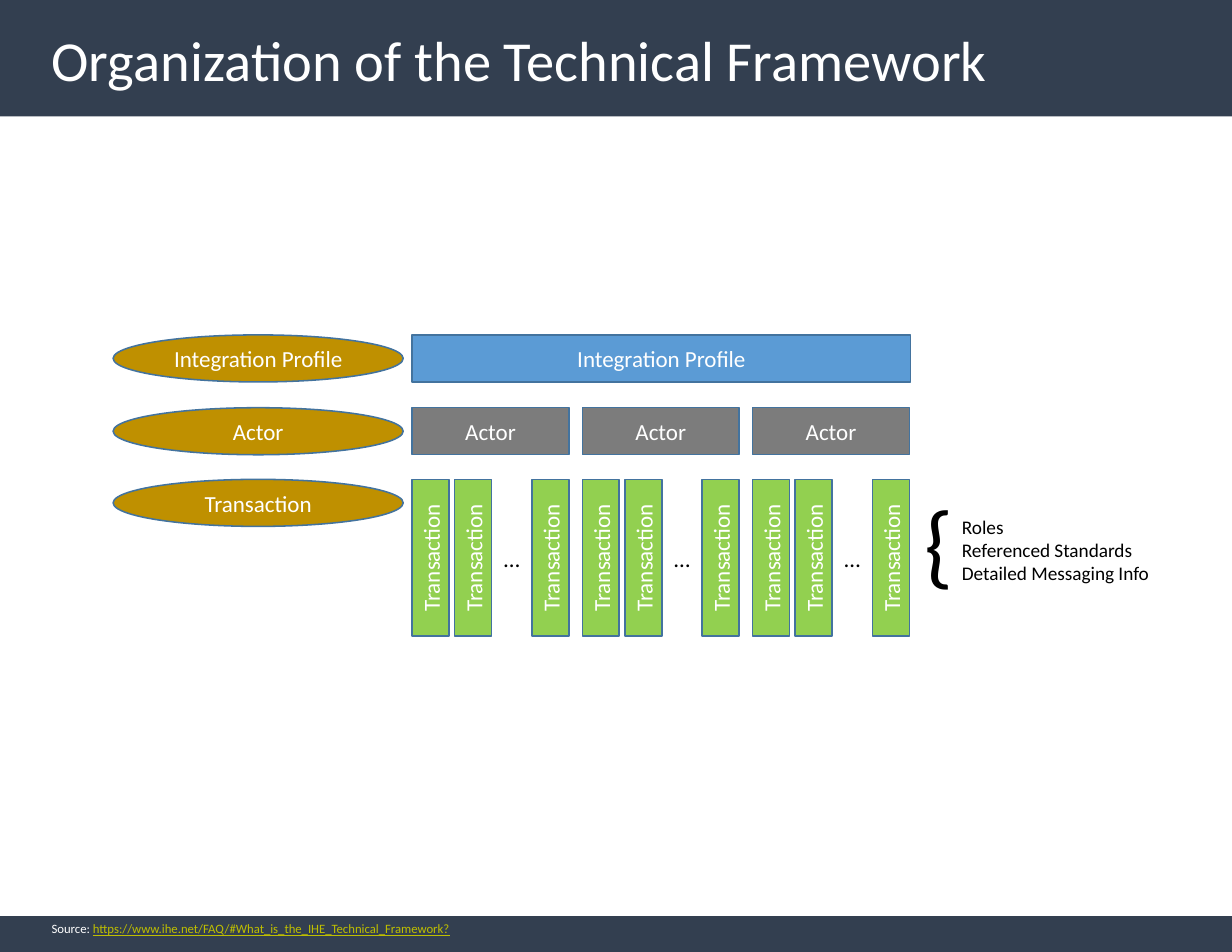
import pptx
import pptx.dml.color
import pptx.enum.shapes
import pptx.enum.text
import pptx.oxml
import pptx.util
from dataclasses import dataclass

Inches = pptx.util.Inches
Shape = pptx.enum.shapes.MSO_SHAPE
Align = pptx.enum.text.PP_ALIGN
Anchor = pptx.enum.text.MSO_ANCHOR
AutoSize = pptx.enum.text.MSO_AUTO_SIZE


@dataclass(frozen=True)
class Theme:
    font: str = "Calibri"
    band: str = "333F50"
    light: str = "FFFFFF"
    dark: str = "000000"
    link: str = "BFBF00"
    outline: str = "43739E"
    level: str = "BF9000"
    profile: str = "5B9BD5"
    actor: str = "7C7C7C"
    transaction: str = "92D050"
    title_size: float = 36.3
    label_size: float = 14.8
    detail_size: float = 12.4
    source_size: float = 8.2
    brace_size: float = 59.4


class FrameworkSlide:
    """Draws styled elements on one slide."""

    def __init__(self, slide, theme):
        self.slide = slide
        self.theme = theme

    def color(self, value):
        return pptx.dml.color.RGBColor.from_string(value)

    def style(self, paragraph, size, color, align=Align.LEFT):
        paragraph.alignment = align
        paragraph.font.name = self.theme.font
        paragraph.font.size = pptx.util.Pt(size)
        paragraph.font.color.rgb = self.color(color)

    def band(self, top, height):
        band = self.slide.shapes.add_shape(
            Shape.RECTANGLE, 0, Inches(top), Inches(11), Inches(height))
        band.shadow.inherit = False
        band.fill.solid()
        band.fill.fore_color.rgb = self.color(self.theme.band)
        band.line.fill.background()
        self.slide.shapes._spTree.insert(2, band._element)

    def placeholder(self, holder, top, height, size, anchor):
        holder.left, holder.top = Inches(0.36), Inches(top)
        holder.width, holder.height = Inches(9.88), Inches(height)
        frame = holder.text_frame
        frame.auto_size = AutoSize.NONE
        frame.vertical_anchor = anchor
        paragraph = frame.paragraphs[0]
        paragraph.line_spacing = 0.9
        paragraph.space_before = pptx.util.Pt(0)
        properties = paragraph._p.get_or_add_pPr()
        properties.set("marL", "0")
        properties.set("indent", "0")
        pptx.oxml.xmlchemy.OxmlElement
        properties.append(pptx.oxml.xmlchemy.OxmlElement("a:buNone"))
        self.style(paragraph, size, self.theme.light)
        return paragraph

    def title(self, text):
        self.placeholder(self.slide.shapes.title, 0.23, 0.67,
                         self.theme.title_size, Anchor.MIDDLE).add_run().text = text

    def source(self, label, address):
        paragraph = self.placeholder(self.slide.placeholders[1], 8.19, 0.32,
                                     self.theme.source_size, Anchor.TOP)
        paragraph.add_run().text = label
        link = paragraph.add_run()
        link.text = address
        link.font.underline = True
        link.font.color.rgb = self.color(self.theme.link)

    def block(self, text, left, top, width, height, fill,
              outline=Shape.RECTANGLE, rotation=0):
        block = self.slide.shapes.add_shape(
            outline, Inches(left), Inches(top), Inches(width), Inches(height))
        block.rotation = rotation
        block.shadow.inherit = False
        block.fill.solid()
        block.fill.fore_color.rgb = self.color(fill)
        block.line.color.rgb = self.color(self.theme.outline)
        block.line.width = pptx.util.Pt(1)
        block.text_frame.text = text
        block.text_frame.vertical_anchor = Anchor.MIDDLE
        self.style(block.text_frame.paragraphs[0], self.theme.label_size,
                   self.theme.light, Align.CENTER)

    def upright_block(self, text, left, top, width, height, fill):
        shift = (height - width) / 2
        self.block(text, left - shift, top + shift, height, width, fill, rotation=270)

    def text(self, text, left, top, width, height, size, align=Align.LEFT, wrap=True):
        box = self.slide.shapes.add_textbox(
            Inches(left), Inches(top), Inches(width), Inches(height))
        frame = box.text_frame
        frame.word_wrap = wrap
        frame.auto_size = AutoSize.SHAPE_TO_FIT_TEXT
        frame.text = text
        for paragraph in frame.paragraphs:
            self.style(paragraph, size, self.theme.dark, align)


def main():
    presentation = pptx.Presentation()
    presentation.slide_width, presentation.slide_height = Inches(11), Inches(8.5)
    theme = Theme()
    page = FrameworkSlide(
        presentation.slides.add_slide(presentation.slide_layouts[1]), theme)

    page.band(0, 1.04)
    page.band(8.18, 0.32)
    page.title("Organization of the Technical Framework")
    page.source("Source: ", "https://www.ihe.net/FAQ/#What_is_the_IHE_Technical_Framework?")

    levels = ["Integration Profile", "Actor", "Transaction"]
    profile, actor, transaction = levels
    row_tops = [2.99, 3.64, 4.28]
    profile_top, actor_top, transaction_top = row_tops
    row_height, actor_width, transaction_width = 0.42, 1.4, 0.33
    profile_left, actor_pitch = 3.68, 1.52

    for level, top in zip(levels, row_tops):
        page.block(level, 1.01, top, 2.59, row_height, theme.level, Shape.OVAL)

    page.block(profile, profile_left, profile_top, 4.45, row_height, theme.profile)
    for column in range(3):
        left = profile_left + column * actor_pitch
        page.block(actor, left, actor_top, actor_width, row_height, theme.actor)
        for offset in (0, 0.38, actor_width - transaction_width):
            page.upright_block(transaction, left + offset, transaction_top,
                               transaction_width, actor_width, theme.transaction)
        page.text("…", left + 0.71, 4.81, 0.36, 0.35, theme.label_size, Align.CENTER)

    page.text("Roles\nReferenced Standards\nDetailed Messaging Info",
              8.49, 4.55, 2.08, 0.73, theme.detail_size)
    page.text("{", 8.16, 4.28, 0.46, 1.1, theme.brace_size, wrap=False)

    presentation.save("out.pptx")


if __name__ == "__main__":
    main()
